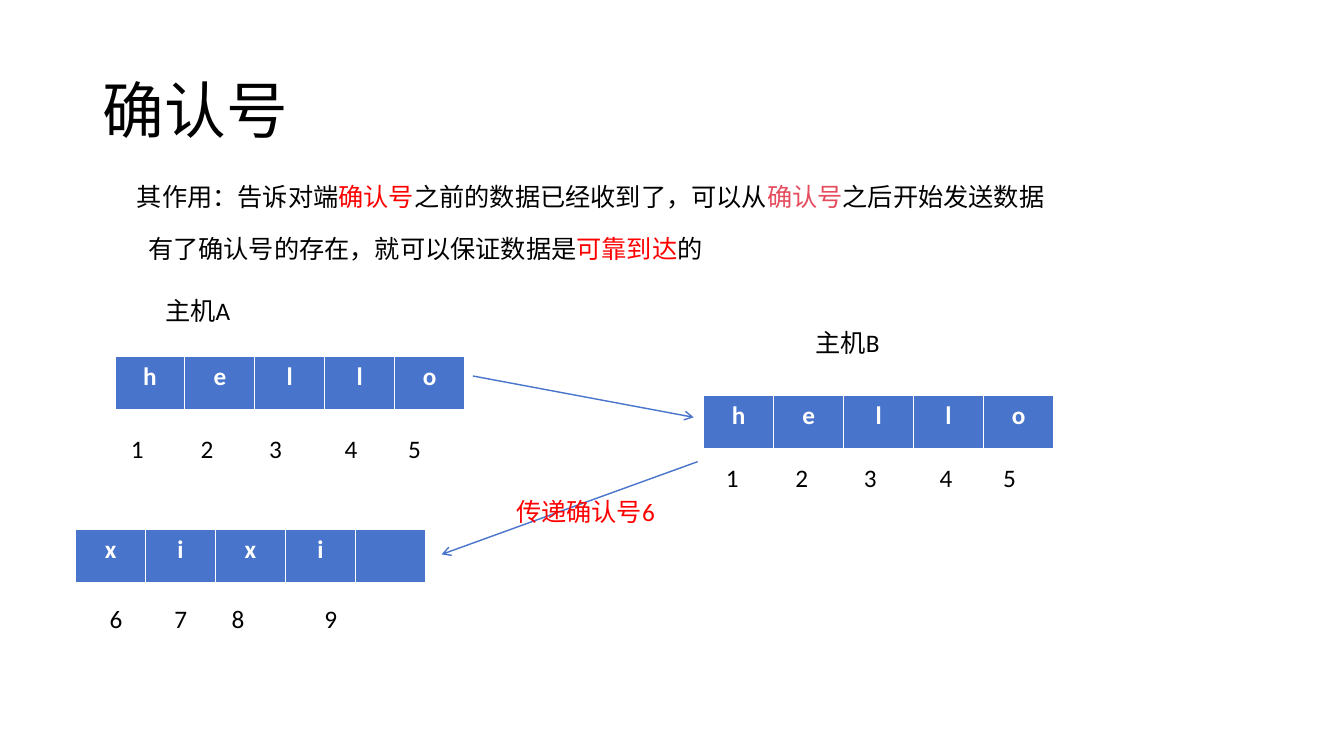
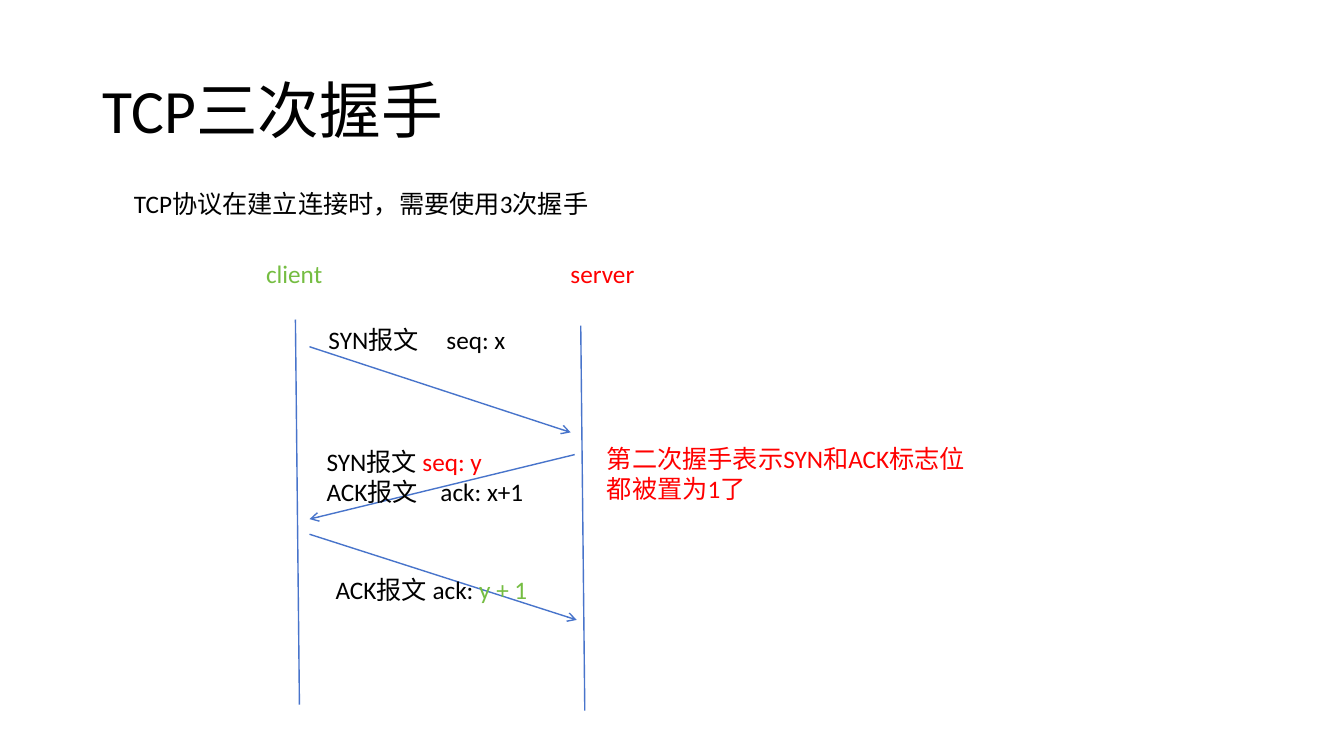
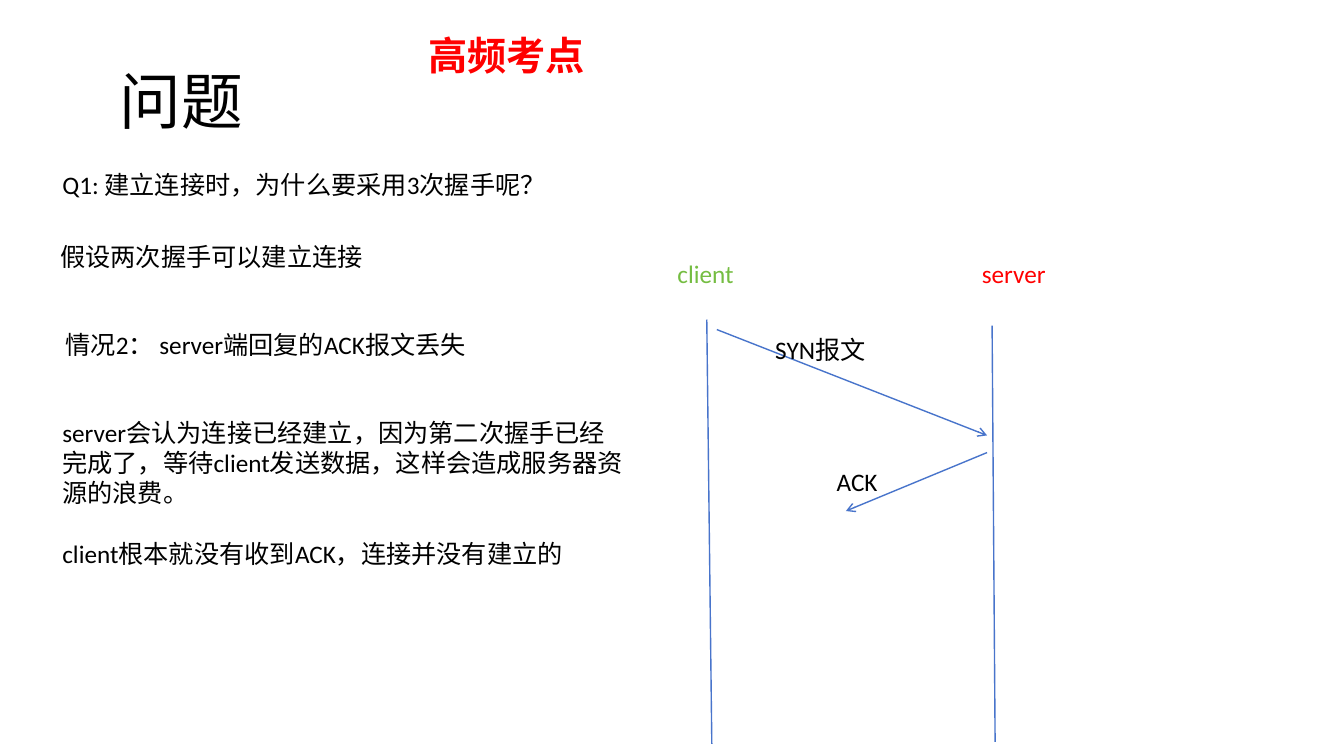
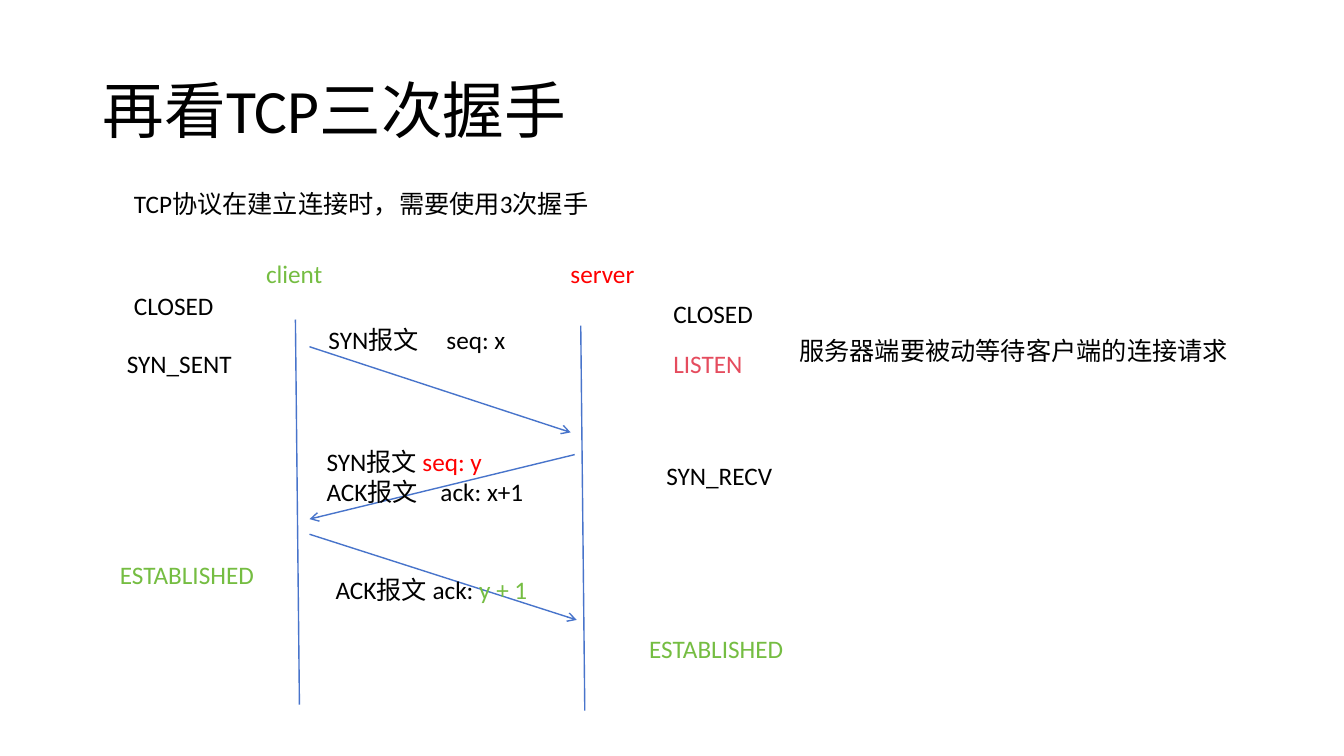
from lxml import etree
from pptx import Presentation
from pptx.dml.color import RGBColor
from pptx.enum.shapes import MSO_CONNECTOR
from pptx.enum.text import MSO_ANCHOR, MSO_AUTO_SIZE, PP_ALIGN
from pptx.oxml.ns import qn
from pptx.util import Emu, Pt

STRAIGHT = MSO_CONNECTOR.STRAIGHT
MIDDLE = MSO_ANCHOR.MIDDLE
NO_FIT, GROW = MSO_AUTO_SIZE.NONE, MSO_AUTO_SIZE.SHAPE_TO_FIT_TEXT
LEFT, CENTER = PP_ALIGN.LEFT, PP_ALIGN.CENTER
TITLE_ONLY = 5

FONT = "Calibri"
BLACK, WHITE, BLUE = "000000", "FFFFFF", "4874CB"
RED, ROSE, GREEN = "FF0000", "E54C5E", "75BD42"
BORDERS = {"a:lnL": 1, "a:lnR": 1, "a:lnT": 1, "a:lnB": 3}


def px(length):
    """Convert px to EMU, 100 px to the inch."""
    return Emu(length * 9144)


def rgb(color):
    return RGBColor.from_string(color)


class Deck:
    def __init__(self):
        self.prs = Presentation()
        self.prs.slide_width, self.prs.slide_height = px(1333), px(750)
        self.slide = None

    def style(self, paragraph, size=18, color=BLACK, bold=False):
        font = paragraph.font
        font.name, font.size, font.bold = FONT, Pt(size), bold
        font.color.rgb = rgb(color)

    def new_slide(self, title, left=92, top=40):
        layout = self.prs.slide_layouts[TITLE_ONLY]
        self.slide = self.prs.slides.add_slide(layout)
        holder = self.slide.shapes.title
        holder.left, holder.top = px(left), px(top)
        holder.width, holder.height = px(1150), px(145)
        frame = holder.text_frame
        frame.text = title
        frame.auto_size, frame.vertical_anchor = NO_FIT, MIDDLE
        heading = frame.paragraphs[0]
        heading.alignment, heading.line_spacing = LEFT, 0.9
        self.style(heading, 44)

    def text(self, left, top, width, *paragraphs, height=40, color=BLACK,
             size=18, bold=False, tabs=(), gap=0):
        """Add a text box; a paragraph is a string or a list of strings and (string, colour) pairs."""
        box = self.slide.shapes.add_textbox(px(left), px(top), px(width), px(height))
        frame = box.text_frame
        frame.word_wrap, frame.auto_size = True, GROW
        for index, content in enumerate(paragraphs):
            paragraph = frame.add_paragraph() if index else frame.paragraphs[0]
            if tabs:
                self.tab_stops(paragraph, tabs)
            if index and gap:
                paragraph.space_before = Pt(gap)
            self.style(paragraph, size, color, bold)
            for part in [content] if isinstance(content, str) else content:
                words, accent = (part, None) if isinstance(part, str) else part
                run = paragraph.add_run()
                run.text = words
                if accent:
                    run.font.color.rgb = rgb(accent)

    def tab_stops(self, paragraph, stops):
        tab_list = etree.SubElement(paragraph._p.get_or_add_pPr(), qn("a:tabLst"))
        for stop in stops:
            etree.SubElement(tab_list, qn("a:tab"), pos=str(px(stop)), algn="l")

    def line(self, x1, y1, x2, y2, arrow=False):
        connector = self.slide.shapes.add_connector(
            STRAIGHT, px(x1), px(y1), px(x2), px(y2))
        connector.line.color.rgb, connector.line.width = rgb(BLUE), Pt(1)
        if arrow:
            etree.SubElement(connector.line._get_or_add_ln(), qn("a:tailEnd"), type="arrow")
        etree.SubElement(connector._element.spPr, qn("a:effectLst"))

    def arrow(self, x1, y1, x2, y2):
        self.line(x1, y1, x2, y2, arrow=True)

    def byte_row(self, left, top, letters):
        """Add a one-row table with one letter in each cell."""
        table = self.slide.shapes.add_table(
            1, len(letters), px(left), px(top), px(347), px(54)).table
        table.first_row = table.horz_banding = False
        for column, letter in enumerate(letters):
            cell = table.cell(0, column)
            self.cell_borders(cell)
            cell.fill.solid()
            cell.fill.fore_color.rgb = rgb(BLUE)
            paragraph = cell.text_frame.paragraphs[0]
            paragraph.alignment = CENTER
            self.style(paragraph, color=WHITE, bold=True)
            if letter.strip():
                paragraph.add_run().text = letter

    def cell_borders(self, cell):
        properties = cell._tc.get_or_add_tcPr()
        for side, width in BORDERS.items():
            border = etree.SubElement(properties, qn(side), w=str(Pt(width)))
            fill = etree.SubElement(border, qn("a:solidFill"))
            etree.SubElement(fill, qn("a:srgbClr"), val=WHITE)

    def actors(self, shift, client_end, server_end):
        """Add the client and server labels with their lifelines."""
        self.line(293 + shift, 317, *client_end)
        self.line(576 + shift, 323, *server_end)
        self.text(254 + shift, 251, 102, "client", color=GREEN)
        self.text(556 + shift, 251, 94, "server", color=RED)

    def handshake(self):
        self.text(123, 182, 531, "TCP协议在建立连接时，需要使用3次握手")
        self.actors(0, (297, 699), (580, 705))
        self.arrow(307, 344, 566, 429)
        self.text(316, 317, 206, "SYN报文\tseq: x", tabs=[117])
        self.arrow(570, 451, 307, 515)
        self.text(314, 438, 219, ["SYN报文 ", ("seq: y", RED)],
                  "ACK报文\tack: x+1", height=71, tabs=[113])
        self.arrow(307, 530, 572, 615)
        self.text(323, 565, 238, ["ACK报文 ack: ", ("y + 1", GREEN)])


def acknowledgement_number(deck):
    deck.new_slide("确认号")
    deck.text(126, 175, 964, ["其作用：告诉对端", ("确认号", RED),
                              "之前的数据已经收到了，可以从", ("确认号", ROSE),
                              "之后开始发送数据"])
    deck.text(137, 227, 737, ["有了确认号的存在，就可以保证数据是",
                              ("可靠到达", RED), "的"])
    deck.text(154, 288, 189, "主机A")
    deck.text(799, 320, 189, "主机B")
    for left, top, letters in ((114, 354, "hello"), (698, 392, "hello"), (75, 525, "xixi ")):
        deck.byte_row(left, top, letters)
    for left, top in ((120, 425), (710, 454)):
        deck.text(left, top, 335, "1\t2\t3\t4\t5", tabs=[69, 137, 212, 275])
    deck.text(99, 594, 314, "6\t7\t8\t9", tabs=[64, 121, 213])
    deck.arrow(469, 373, 688, 414)
    deck.arrow(692, 458, 438, 550)
    deck.text(502, 487, 178, "传递确认号6", color=RED)


def three_way_handshake(deck):
    deck.new_slide("TCP三次握手")
    deck.handshake()
    deck.text(592, 435, 398, "第二次握手表示SYN和ACK标志位都被置为1了",
              height=71, color=RED)


def why_three(deck):
    deck.new_slide("问题", 109, 31)
    deck.text(52, 163, 636, "Q1: 建立连接时，为什么要采用3次握手呢？")
    deck.actors(408, (706, 738), (987, 736))
    deck.arrow(979, 449, 839, 507)
    deck.arrow(711, 327, 979, 432)
    deck.text(759, 327, 225, "SYN报文")
    deck.text(820, 458, 110, "ACK")
    deck.text(415, 26, 183, "高频考点", height=57, color=RED, size=28, bold=True)
    deck.text(50, 234, 482, "假设两次握手可以建立连接")
    deck.text(55, 322, 490, "情况2： server端回复的ACK报文丢失")
    deck.text(52, 409, 579,
              "server会认为连接已经建立，因为第二次握手已经完成了，"
              "等待client发送数据，这样会造成服务器资源的浪费。",
              "client根本就没有收到ACK，连接并没有建立的", height=161, gap=22)


def handshake_states(deck):
    deck.new_slide("再看TCP三次握手")
    deck.handshake()
    for left, top, width, state, color in (
            (123, 283, 112, "CLOSED", BLACK),
            (116, 341, 138, "SYN_SENT", BLACK),
            (109, 550, 189, "ESTABLISHED", GREEN),
            (658, 291, 143, "CLOSED", BLACK),
            (658, 341, 143, "LISTEN", ROSE),
            (651, 452, 171, "SYN_RECV", BLACK),
            (634, 623, 189, "ESTABLISHED", GREEN)):
        deck.text(left, top, width, state, color=color)
    deck.text(783, 328, 480, "服务器端要被动等待客户端的连接请求")


def main():
    deck = Deck()
    acknowledgement_number(deck)
    three_way_handshake(deck)
    why_three(deck)
    handshake_states(deck)
    deck.prs.save("out.pptx")


if __name__ == "__main__":
    main()
